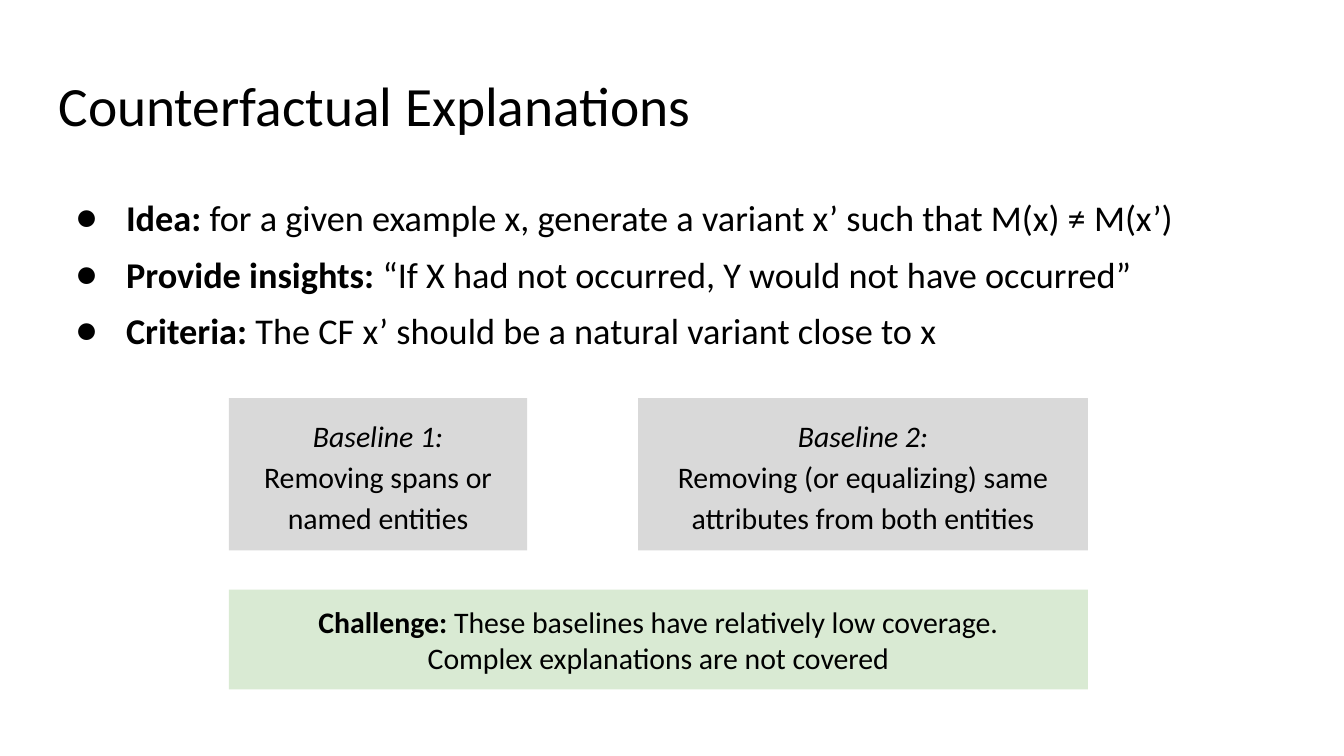
from lxml import etree
from pptx import Presentation
from pptx.dml.color import RGBColor
from pptx.enum.shapes import MSO_SHAPE
from pptx.enum.text import MSO_ANCHOR, MSO_AUTO_SIZE, PP_ALIGN
from pptx.oxml.ns import qn
from pptx.util import Inches, Pt

RECT = MSO_SHAPE.RECTANGLE
TOP, MIDDLE = MSO_ANCHOR.TOP, MSO_ANCHOR.MIDDLE
LEFT, CENTER = PP_ALIGN.LEFT, PP_ALIGN.CENTER
NO_FIT = MSO_AUTO_SIZE.NONE
COLORS = {"text": "000000", "baseline": "D9D9D9", "challenge": "D9EAD3"}


def place(sp, left, top, width, height):
    sp.left, sp.top = Inches(left), Inches(top)
    sp.width, sp.height = Inches(width), Inches(height)


def write(sp, paragraphs, size, spacing, align=LEFT, anchor=TOP, bullet=None):
    tf = sp.text_frame
    frame = {"word_wrap": True, "auto_size": NO_FIT, "vertical_anchor": anchor}
    for side in ("left", "right", "top", "bottom"):
        frame[f"margin_{side}"] = Inches(0.13)
    for name, value in frame.items():
        setattr(tf, name, value)
    for i, runs in enumerate(paragraphs):
        p = tf.add_paragraph() if i else tf.paragraphs[0]
        if bullet:
            pPr = p._p.get_or_add_pPr()
            pPr.set("marL", str(Inches(0.67)))
            pPr.set("indent", str(Inches(-0.5)))
            etree.SubElement(pPr, qn("a:buFont")).set("typeface", "Calibri")
            etree.SubElement(pPr, qn("a:buChar")).set("char", bullet)
        layout = {"alignment": align, "line_spacing": spacing,
                  "space_before": Pt(0), "space_after": Pt(0)}
        for name, value in layout.items():
            setattr(p, name, value)
        for text, style in runs:
            for n, line in enumerate(text.split("\n")):
                if n:
                    p.add_line_break()
                r = p.add_run()
                r.text = line
                font = {"name": "Calibri", "size": Pt(size),
                        "bold": style == "bold", "italic": style == "italic"}
                for name, value in font.items():
                    setattr(r.font, name, value)
                r.font.color.rgb = RGBColor.from_string(COLORS["text"])


prs = Presentation()
prs.slide_width, prs.slide_height = Inches(13.33), Inches(7.5)
s = prs.slides.add_slide(prs.slide_layouts[1])

title, body = s.placeholders
place(title, 0.45, 0.65, 12.42, 0.84)
write(title, [[("Counterfactual Explanations", "plain")]], 39.6, 0.9)

points = [
    ("Idea:", " for a given example x, generate a variant x’ such that M(x) ≠ M(x’)"),
    ("Provide insights:", " “If X had not occurred, Y would not have occurred”"),
    ("Criteria:", " The CF x’ should be a natural variant close to x"),
]
place(body, 0.45, 1.68, 12.42, 2.07)
write(body, [[(head, "bold"), (rest, "plain")] for head, rest in points],
      25.9, 1.3, bullet="●")

grid_left, grid_width = 2.27, 8.52
wide = 4.46
boxes = [
    ("baseline", grid_left, 3.95, 2.96, 1.51, 1.15,
     [[("Baseline 1:", "italic")],
      [("Removing spans or named entities", "plain")]]),
    ("baseline", grid_left + grid_width - wide, 3.95, wide, 1.51, 1.15,
     [[("Baseline 2:", "italic")],
      [("Removing (or equalizing) same attributes from both entities", "plain")]]),
    ("challenge", grid_left, 5.85, grid_width, 0.99, 1.0,
     [[("Challenge:", "bold"),
       (" These baselines have relatively low coverage.\n"
        "Complex explanations are not covered", "plain")]]),
]
for color, left, top, width, height, spacing, paragraphs in boxes:
    sp = s.shapes.add_shape(RECT, 0, 0, 0, 0)
    place(sp, left, top, width, height)
    sp.shadow.inherit = False
    sp.fill.solid()
    sp.fill.fore_color.rgb = RGBColor.from_string(COLORS[color])
    sp.line.fill.background()
    write(sp, paragraphs, 21.3, spacing, CENTER, MIDDLE)

prs.save("out.pptx")
